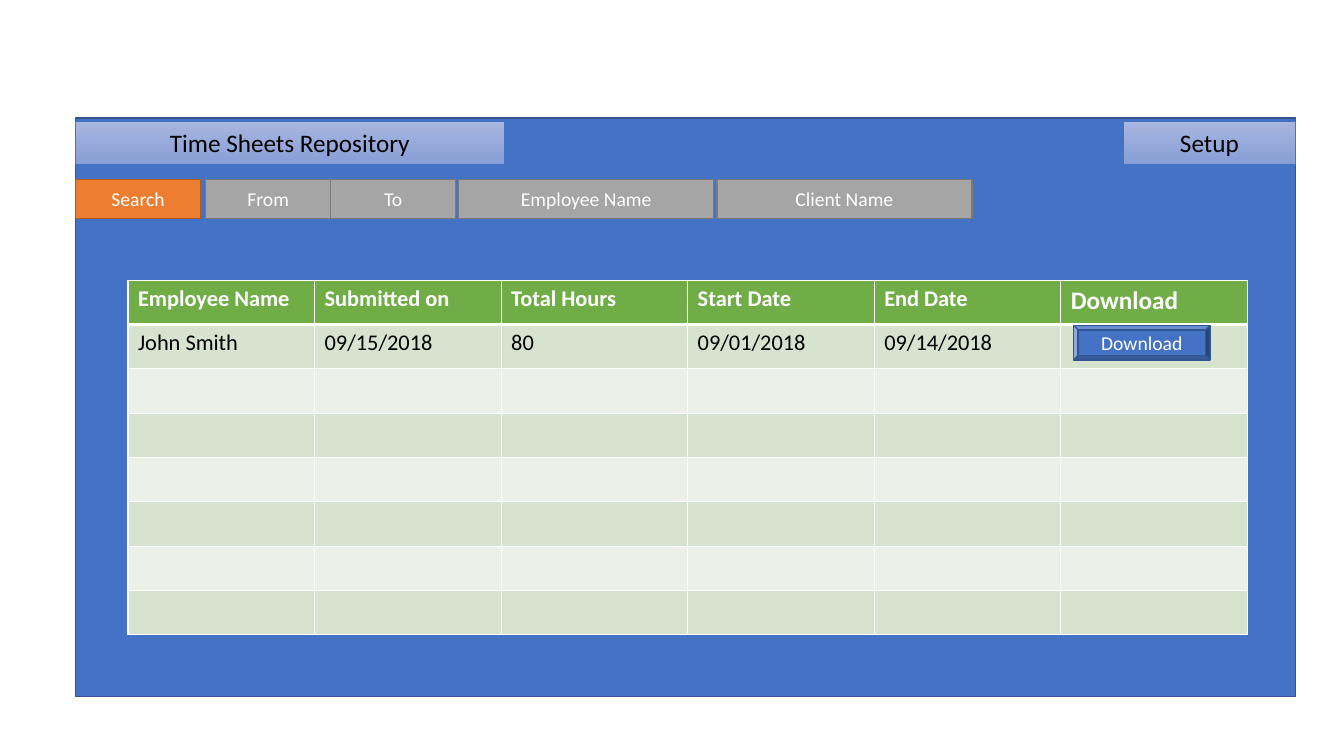
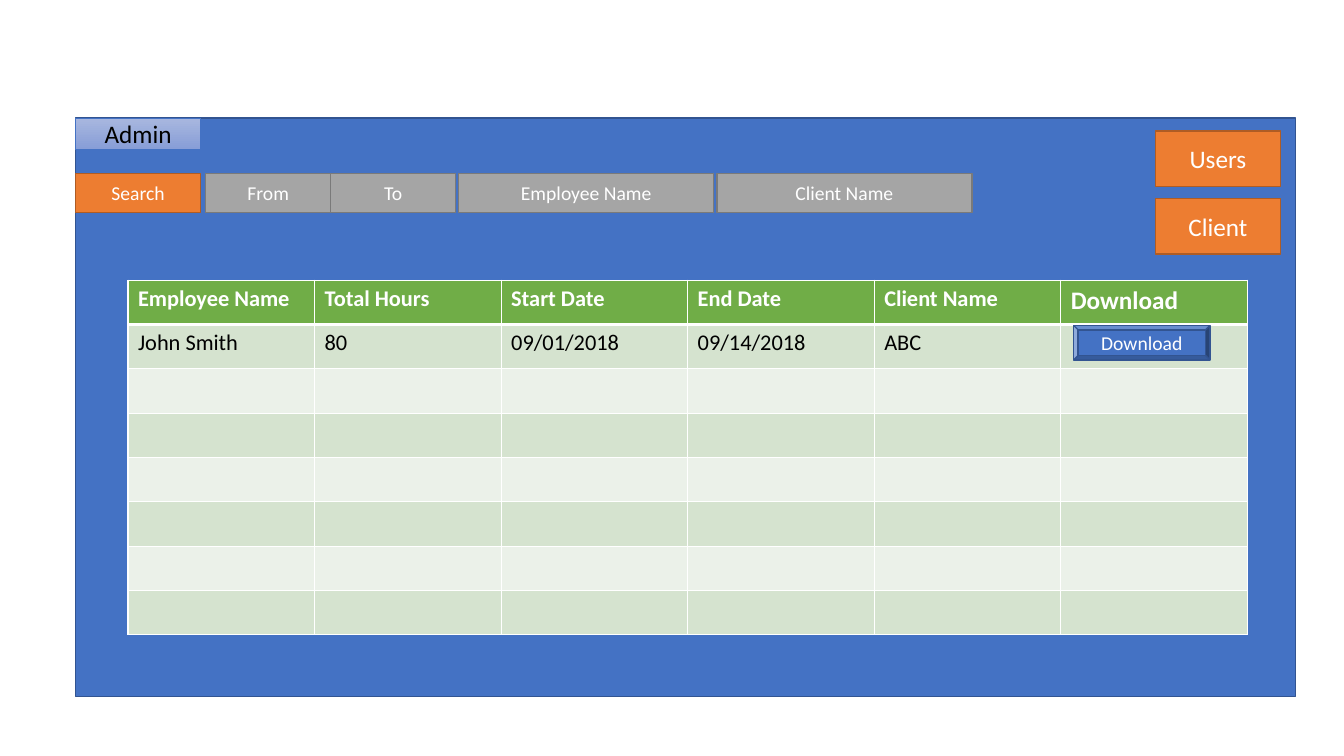
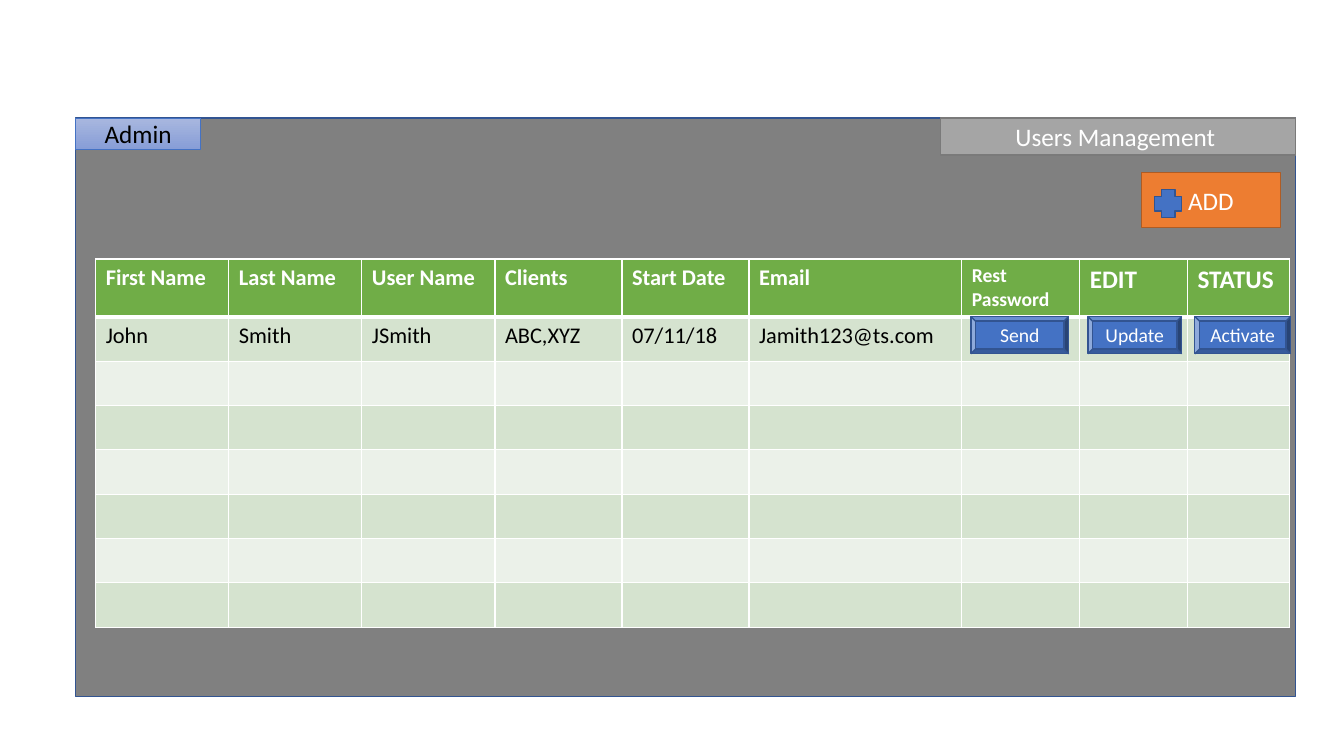
from lxml import etree
from pptx import Presentation, util as u
from pptx.dml import color
from pptx.enum import shapes, text
from pptx.oxml import ns

BLUE, ORANGE, GRAY = ("4472C4", "325491"), ("ED7D31", "AF5C24"), ("A5A5A5", "7A7A7A")
DARK, WHITE, BLACK, GREEN = "808080", "FFFFFF", "000000", "70AD47"
BANDS = ("D5E3CF", "EBF1E9")
FADE = ("A8B7DF", "889ED7")
LEFT, TOP, WIDE, HIGH = 0.75, 1.17, 12.1, 5.74
TAB, ROW, ROWS = 1.24, 0.44, 8
KIND = shapes.MSO_SHAPE


def rgb(code):
    return color.RGBColor.from_string(code)


class Deck:
    """Draws the screens of a time sheet tool with one shared style."""

    def __init__(self):
        self.prs = Presentation()
        self.prs.slide_width, self.prs.slide_height = u.Inches(13.33), u.Inches(7.5)

    def screen(self, fill=BLUE[0]):
        self.slide = self.prs.slides.add_slide(self.prs.slide_layouts[6])
        self.box(LEFT, TOP, WIDE, HIGH, (fill, BLUE[1]))

    def put(self, para, words, size, ink, bold=False):
        run = para.add_run()
        run.text = words
        font = run.font
        font.name, font.size, font.bold = "Calibri", u.Pt(size), bold
        font.color.rgb = rgb(ink)

    def box(self, x, y, w, h, tone, words="", size=18, ink=WHITE, kind=KIND.RECTANGLE):
        box = self.slide.shapes.add_shape(kind, *map(u.Inches, (x, y, w, h)))
        box.shadow.inherit = False
        box.fill.solid()
        box.fill.fore_color.rgb = rgb(tone[0])
        box.line.color.rgb = rgb(tone[1])
        box.line.width = u.Pt(1)
        if words:
            box.text_frame.vertical_anchor = text.MSO_ANCHOR.MIDDLE
            para = box.text_frame.paragraphs[0]
            para.alignment = text.PP_ALIGN.CENTER
            self.put(para, words, size, ink)
        return box

    def label(self, x, y, w, h, words):
        tab = self.box(x, y, w, h, BLUE, words, ink=BLACK)
        tab.line.color.rgb = rgb(BLUE[0])
        tab.line.width = u.Pt(0.5)
        tab.fill.gradient()
        tab.fill.gradient_angle = 270
        for stop, code, place in zip(tab.fill.gradient_stops, FADE, (0, 1)):
            stop.color.rgb = rgb(code)
            stop.position = place

    def button(self, x, y, w, h, words):
        self.box(x, y, w, h, BLUE, words, 14, kind=KIND.BEVEL)

    def filters(self, y):
        self.box(LEFT, y, TAB, 0.39, ORANGE, "Search", 14)
        for x, w, words in ((2.04, TAB, "From"), (2.04 + TAB, TAB, "To"),
                            (4.55, 2.53, "Employee Name"), (7.11, 2.53, "Client Name")):
            self.box(x, y, w, 0.39, GRAY, words, 14)

    def edge(self, cell, side, width):
        line = etree.SubElement(cell._tc.get_or_add_tcPr(), ns.qn("a:ln" + side),
                                w=str(u.Pt(width)))
        fill = etree.SubElement(line, ns.qn("a:solidFill"))
        etree.SubElement(fill, ns.qn("a:srgbClr"), val=WHITE)

    def table(self, x, y, widths, heads, data, sizes, first=ROW):
        highs = [first] + [ROW] * (ROWS - 1)
        grid = self.slide.shapes.add_table(
            ROWS, len(widths), *map(u.Inches, (x, y, sum(widths), sum(highs)))).table
        for col, width in zip(grid.columns, widths):
            col.width = u.Inches(width)
        for row, high in enumerate(highs):
            grid.rows[row].height = u.Inches(high)
            for col in range(len(widths)):
                cell = grid.cell(row, col)
                for side in "LRTB":
                    thick = (row, side) in ((0, "B"), (1, "T"))
                    self.edge(cell, side, 3 if thick else 1)
                cell.fill.solid()
                cell.fill.fore_color.rgb = rgb(BANDS[(row - 1) % 2] if row else GREEN)
        for col, words in enumerate(heads):
            para = grid.cell(0, col).text_frame.paragraphs[0]
            self.put(para, words, sizes.get(words, 16), WHITE, True)
        for col, words in enumerate(data):
            self.put(grid.cell(1, col).text_frame.paragraphs[0], words, 16, BLACK)

    def sheets(self, heads, data):
        self.table(1.27, 2.78, [1.85] * 6, heads + ["Download"], data, {"Download": 18})
        self.button(10.65, 3.23, 1.35, 0.34, "Download")

    def admin(self):
        self.label(LEFT, TOP, TAB, 0.31, "Admin")


deck = Deck()

deck.screen()
deck.filters(1.78)
deck.sheets(["Employee Name", "Submitted on", "Total Hours", "Start Date", "End Date"],
            ["John Smith", "09/15/2018", "80", "09/01/2018", "09/14/2018"])
deck.label(11.14, 1.2, 1.71, 0.43, "Setup")
deck.label(LEFT, 1.2, 4.25, 0.43, "Time Sheets Repository")

deck.screen()
deck.filters(1.72)
deck.sheets(["Employee Name", "Total Hours", "Start Date", "End Date", "Client Name"],
            ["John Smith", "80", "09/01/2018", "09/14/2018", "ABC"])
deck.admin()
for y, words in ((1.3, "Users"), (1.97, "Client")):
    deck.box(11.46, y, TAB, 0.55, ORANGE, words)

deck.screen(DARK)
deck.box(9.33, TOP, 3.52, 0.37, GRAY, "Users Management ")
deck.table(0.95, 2.57, [1.32, 1.32, 1.32, 1.26, 1.26, 2.11, 1.17, 1.07, 1.01],
           ["First Name", "Last Name", "User Name", "Clients", "Start Date", "Email",
            "Rest Password", "EDIT", "STATUS"],
           ["John", "Smith", "JSmith", "ABC,XYZ", "07/11/18", "Jamith123@ts.com"],
           {"Rest Password": 14, "EDIT": 18, "STATUS": 18}, 0.56)
deck.admin()
deck.box(11.32, 1.71, 1.38, 0.55, ORANGE, "ADD")
deck.box(11.45, 1.88, 0.27, 0.28, BLUE, kind=KIND.CROSS)
for x, w, words in ((9.63, 0.97, "Send"), (10.79, 0.93, "Update"), (11.85, 0.95, "Activate")):
    deck.button(x, 3.14, w, 0.37, words)

deck.prs.save("out.pptx")
